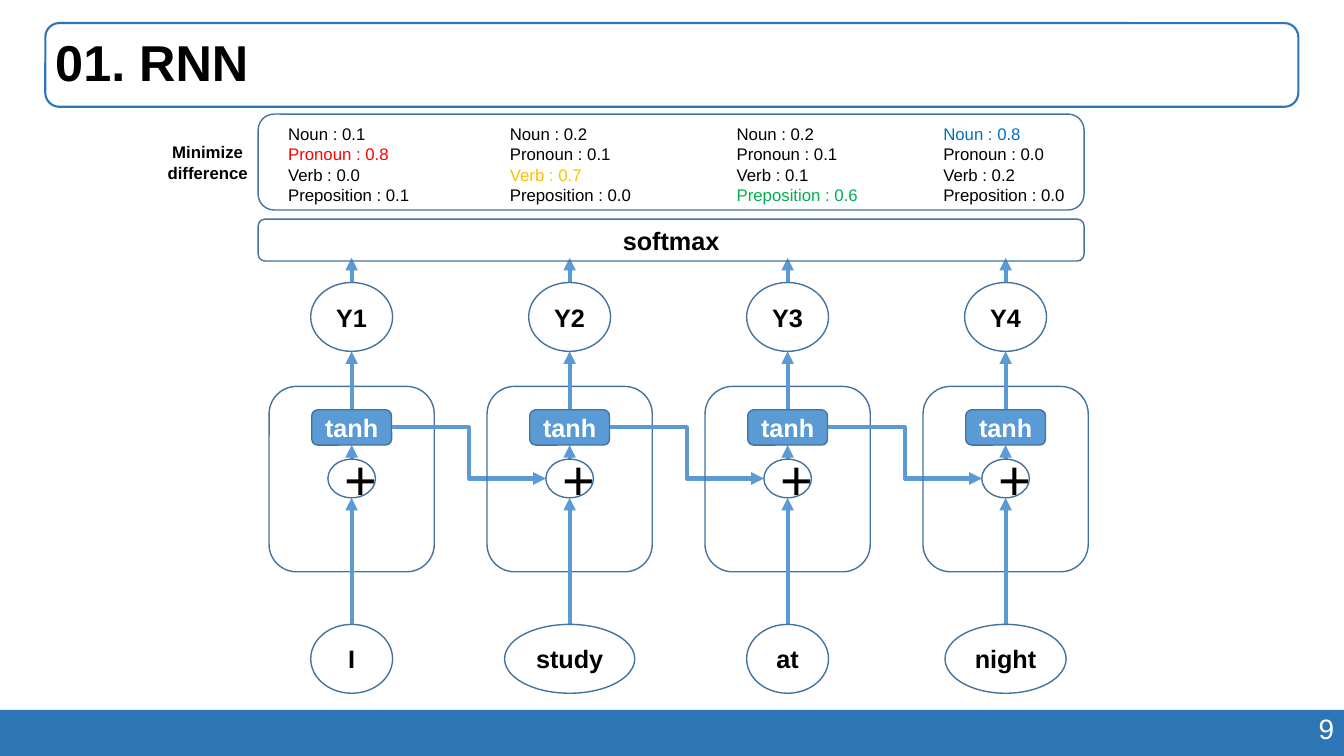
from lxml import etree
from pptx import Presentation
from pptx.dml.color import RGBColor
from pptx.enum import shapes, text
from pptx.oxml import ns
from pptx.util import Pt

BLUE, SKY, OUTLINE = "2E75B6", "5B9BD5", "43739E"
BLACK, WHITE = "000000", "FFFFFF"
ROUND = shapes.MSO_SHAPE.ROUNDED_RECTANGLE
OVAL = shapes.MSO_SHAPE.OVAL
LEFT, CENTER, RIGHT = text.PP_ALIGN.LEFT, text.PP_ALIGN.CENTER, text.PP_ALIGN.RIGHT
TOP, MIDDLE = text.MSO_ANCHOR.TOP, text.MSO_ANCHOR.MIDDLE

WORDS = [("I", 58.5), ("study", 93), ("at", 58.5), ("night", 86.5)]
TAGS = ["Noun", "Pronoun", "Verb", "Preposition"]
PROBABILITIES = [
    (198.7, [0.1, 0.8, 0.0, 0.1], "FF0000"),
    (357.1, [0.2, 0.1, 0.7, 0.0], "FFC000"),
    (519.1, [0.2, 0.1, 0.1, 0.6], "00B050"),
    (666.7, [0.8, 0.0, 0.2, 0.0], "0070C0"),
]
STEP_WIDTH, STEP_GAP = 118, 37.7


def color(value):
    return RGBColor.from_string(value)


def write(shape, lines, size, colors, bold=False, align=CENTER, anchor=MIDDLE):
    frame = shape.text_frame
    frame.text = "\n".join(lines)
    frame.vertical_anchor = anchor
    for paragraph, tint in zip(frame.paragraphs, colors):
        paragraph.alignment = align
        font = paragraph.runs[0].font
        font.name, font.size, font.bold = "Arial", Pt(size), bold
        font.color.rgb = color(tint)


def add_box(slide, kind, left, top, width, height, fill=None, line=OUTLINE, weight=1):
    box = slide.shapes.add_shape(kind, Pt(left), Pt(top), Pt(width), Pt(height))
    box.shadow.inherit = False
    if fill:
        box.fill.solid()
        box.fill.fore_color.rgb = color(fill)
    else:
        box.fill.background()
    if line:
        box.line.color.rgb = color(line)
        box.line.width = Pt(weight)
    else:
        box.line.fill.background()
    return box


def add_label(slide, left, top, width, height, wrap=True):
    label = slide.shapes.add_textbox(Pt(left), Pt(top), Pt(width), Pt(height))
    label.text_frame.word_wrap = wrap
    return label


def add_arrow(slide, start, end, kind=shapes.MSO_CONNECTOR.STRAIGHT):
    arrow = slide.shapes.add_connector(kind, *[Pt(v) for v in (*start, *end)])
    arrow.line.color.rgb = color(SKY)
    arrow.line.width = Pt(3)
    etree.SubElement(arrow.line._get_or_add_ln(), ns.qn("a:tailEnd"), type="triangle")
    etree.SubElement(arrow._element.spPr, ns.qn("a:effectLst"))


def header(slide, left, top, width, height):
    add_box(slide, ROUND, left, top, width, height, line=BLUE, weight=1.5)
    title = add_label(slide, left, top, width, height)
    write(title, ["01. RNN"], 36, [BLACK], True, LEFT)
    title.text_frame.paragraphs[0].line_spacing = 0.9


def footer(slide, left, top, width, height):
    add_box(slide, shapes.MSO_SHAPE.RECTANGLE, left, top, width, height, BLUE, None)
    number = add_label(slide, left + width - 281, top - 2.2, 281, 31.5)
    write(number, ["9"], 20, [WHITE], align=RIGHT, anchor=TOP)


def probabilities(slide, left, top, width, height):
    add_box(slide, ROUND, left, top, width, height)
    for column_left, values, highlight in PROBABILITIES:
        lines = [f"{tag} : {value}" for tag, value in zip(TAGS, values)]
        colors = [highlight if value == max(values) else BLACK for value in values]
        column = add_label(slide, column_left, top + 3.5, 102, 65.5, False)
        write(column, lines, 12, colors, align=LEFT, anchor=TOP)
    goal = add_label(slide, left - 72, top + 16.5, 72, 36, False)
    write(goal, ["Minimize", "difference"], 12, [BLACK] * 2, True, anchor=TOP)


def softmax(slide, left, top, width, height):
    layer = add_box(slide, ROUND, left, top, width, height)
    write(layer, ["softmax"], 18, [BLACK], True)


def time_step(slide, left, top, width, height, index):
    middle = left + width / 2
    add_box(slide, ROUND, left, top, width, height)
    word, word_width = WORDS[index]
    output_top, tanh_top, plus_top, word_top = [top + d for d in (-74.2, 16.7, 52, 170)]
    tanh_bottom, plus_bottom = tanh_top + 25.2, plus_top + 27.6

    for start, end in [(word_top, plus_bottom), (plus_top, tanh_bottom),
                       (tanh_top, output_top + 49.2), (output_top - 0.5, top - 91.8)]:
        add_arrow(slide, (middle, start), (middle, end))

    for name, top_edge, oval_width in [(word, word_top, word_width),
                                       (f"Y{index + 1}", output_top, 58.5)]:
        oval = add_box(slide, OVAL, middle - oval_width / 2, top_edge, oval_width, 49.2)
        write(oval, [name], 18, [BLACK], True)
    plus = add_box(slide, OVAL, middle - 17, plus_top, 34, 27.6)
    write(plus, ["+"], 40, [BLACK])
    tanh = add_box(slide, ROUND, middle - 28.5, tanh_top, 57, 25.2, SKY)
    write(tanh, ["tanh"], 18, [WHITE], True)

    if index < len(WORDS) - 1:
        next_plus = middle + width + STEP_GAP - 17
        add_arrow(slide, (middle + 28.5, tanh_top + 12.6),
                  (next_plus, plus_top + 13.8), shapes.MSO_CONNECTOR.ELBOW)


def network(slide, left, top, height):
    for index in range(len(WORDS)):
        step_left = left + index * (STEP_WIDTH + STEP_GAP)
        time_step(slide, step_left, top, STEP_WIDTH, height, index)


def main():
    deck = Presentation()
    deck.slide_width, deck.slide_height = Pt(960), Pt(540)
    slide = deck.slides.add_slide(deck.slide_layouts[6])
    footer(slide, 0, 507, 960, 33)
    header(slide, 32.4, 16.5, 895, 59.8)
    network(slide, 192.2, 276, 132.4)
    softmax(slide, 184.4, 156.5, 590, 30)
    probabilities(slide, 184.4, 81.5, 590, 68.5)
    deck.save("out.pptx")


if __name__ == "__main__":
    main()
